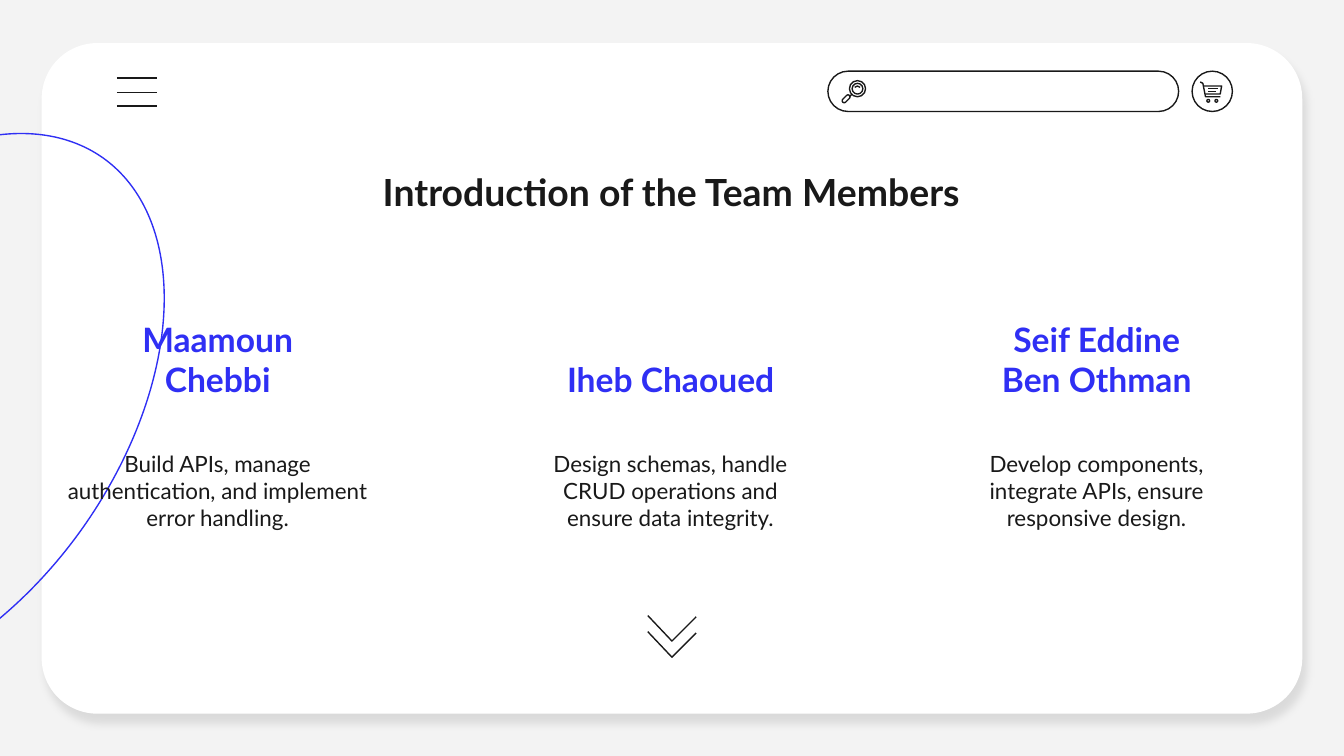
from lxml.etree import SubElement
from pptx import Presentation
from pptx.dml.color import RGBColor
from pptx.enum.shapes import MSO_CONNECTOR, MSO_SHAPE as SHAPE
from pptx.enum.text import MSO_ANCHOR as ANCHOR, PP_ALIGN
from pptx.oxml.ns import qn
from pptx.util import Inches, Pt

INK = RGBColor(0x19, 0x19, 0x19)
BLUE = RGBColor(0x2F, 0x2F, 0xF4)
WHITE = RGBColor(0xFF, 0xFF, 0xFF)
GREY = RGBColor(0xF3, 0xF3, 0xF3)

prs = Presentation()
prs.slide_width = Inches(10)
prs.slide_height = Inches(10 * 9 / 16)
slide = prs.slides.add_slide(prs.slide_layouts[6])
slide.background.fill.solid()
slide.background.fill.fore_color.rgb = GREY
shapes = slide.shapes


def outline(shape, color=INK, width=0.75):
    """Leave only a plain line, without fill or shadow."""
    shape.line.color.rgb = color
    shape.line.width = Pt(width)
    if shape.element.tag == qn("p:cxnSp"):
        SubElement(shape.element.spPr, qn("a:effectLst"))
    else:
        shape.fill.background()
        shape.shadow.inherit = False


def add_text(box, text, size, color=INK, bold=False, anchor=ANCHOR.TOP):
    frame = shapes.add_textbox(*map(Inches, box)).text_frame
    frame.word_wrap = True
    frame.vertical_anchor = anchor
    frame.margin_left = frame.margin_right = Inches(0.1)
    frame.margin_top = frame.margin_bottom = Inches(0.1)
    frame.text = text
    paragraph = frame.paragraphs[0]
    paragraph.alignment = PP_ALIGN.CENTER
    font = paragraph.runs[0].font
    font.name, font.size, font.bold = "Lato", Pt(size), bold
    font.color.rgb = color


# Page card with a soft shadow
card = shapes.add_shape(SHAPE.ROUNDED_RECTANGLE, Inches(0.31), Inches(0.32), Inches(9.38), Inches(4.99))
card.adjustments[0] = 0.083
card.fill.solid()
card.fill.fore_color.rgb = WHITE
card.line.fill.background()
card.shadow.inherit = False
shadow = SubElement(card.element.spPr.find(qn("a:effectLst")), qn("a:outerShdw"),
                    blurRad=str(Pt(4.5)), dist=str(Pt(6)), dir=str(68 * 60000),
                    algn="bl", rotWithShape="0")
shadow_color = SubElement(shadow, qn("a:srgbClr"), val="000000")
SubElement(shadow_color, qn("a:alpha"), val="10000")

orbit = shapes.add_shape(SHAPE.OVAL, Inches(-2.94), Inches(1.61), Inches(4.69), Inches(2.95))
orbit.rotation = 305.6
outline(orbit, BLUE)

# Menu bars and the neck of the magnifier
for x1, y1, x2, y2 in [(0.87, 0.58, 1.17, 0.58), (0.87, 0.69, 1.17, 0.69),
                       (0.87, 0.79, 1.17, 0.79), (6.32, 0.72, 6.34, 0.7)]:
    outline(shapes.add_connector(MSO_CONNECTOR.STRAIGHT, *map(Inches, (x1, y1, x2, y2))))

# Search bar and magnifier handle
for box, angle in [((6.16, 0.53, 2.61, 0.3), 0), ((6.26, 0.72, 0.07, 0.03), 135)]:
    pill = shapes.add_shape(SHAPE.ROUNDED_RECTANGLE, *map(Inches, box))
    pill.adjustments[0] = 0.5
    pill.rotation = angle
    outline(pill)

# Cart button, magnifier lens and cart wheels
for x, y, diameter in [(8.87, 0.53, 0.3), (6.32, 0.6, 0.12), (6.34, 0.62, 0.08),
                       (8.98, 0.74, 0.02), (9.04, 0.74, 0.02)]:
    outline(shapes.add_shape(SHAPE.OVAL, *map(Inches, (x, y, diameter, diameter))))

# Lens glint, cart frame, basket, basket slats and the two scroll chevrons
strokes = [
    [(6.36, 0.65), (6.38, 0.64), (6.4, 0.65)],
    [(8.93, 0.61), (8.95, 0.62), (8.97, 0.72), (9.08, 0.72)],
    [(8.96, 0.64), (9.09, 0.64), (9.08, 0.7), (8.97, 0.7)],
    [(8.99, 0.66), (9.06, 0.66)],
    [(8.99, 0.68), (9.05, 0.68)],
]
strokes += [[(4.82, top), (5, top + 0.19), (5.18, top + 0.01)] for top in (4.58, 4.7)]
for points in strokes:
    start, *rest = [(Inches(x), Inches(y)) for x, y in points]
    builder = shapes.build_freeform(*start)
    builder.add_line_segments(rest, close=False)
    outline(builder.convert_to_shape())

# Heading and team members
add_text((2.24, 1.06, 5.51, 0.63), "Introduction of the Team Members", 20, bold=True, anchor=ANCHOR.BOTTOM)

members = [
    ("Maamoun Chebbi", 1.62, 2.54,
     "Build APIs, manage authentication, and implement error handling."),
    ("Iheb Chaoued", 4.99, 2.26,
     "Design schemas, handle CRUD operations and ensure data integrity."),
    ("Seif Eddine Ben Othman", 8.16, 2.06,
     "Develop components, integrate APIs, ensure responsive design."),
]
for name, center, role_width, role in members:
    add_text((center - 0.96, 2.23, 1.92, 0.84), name, 18, BLUE, True, ANCHOR.BOTTOM)
    add_text((center - role_width / 2, 3.25, role_width, 0.37), role, 12)

prs.save("out.pptx")
